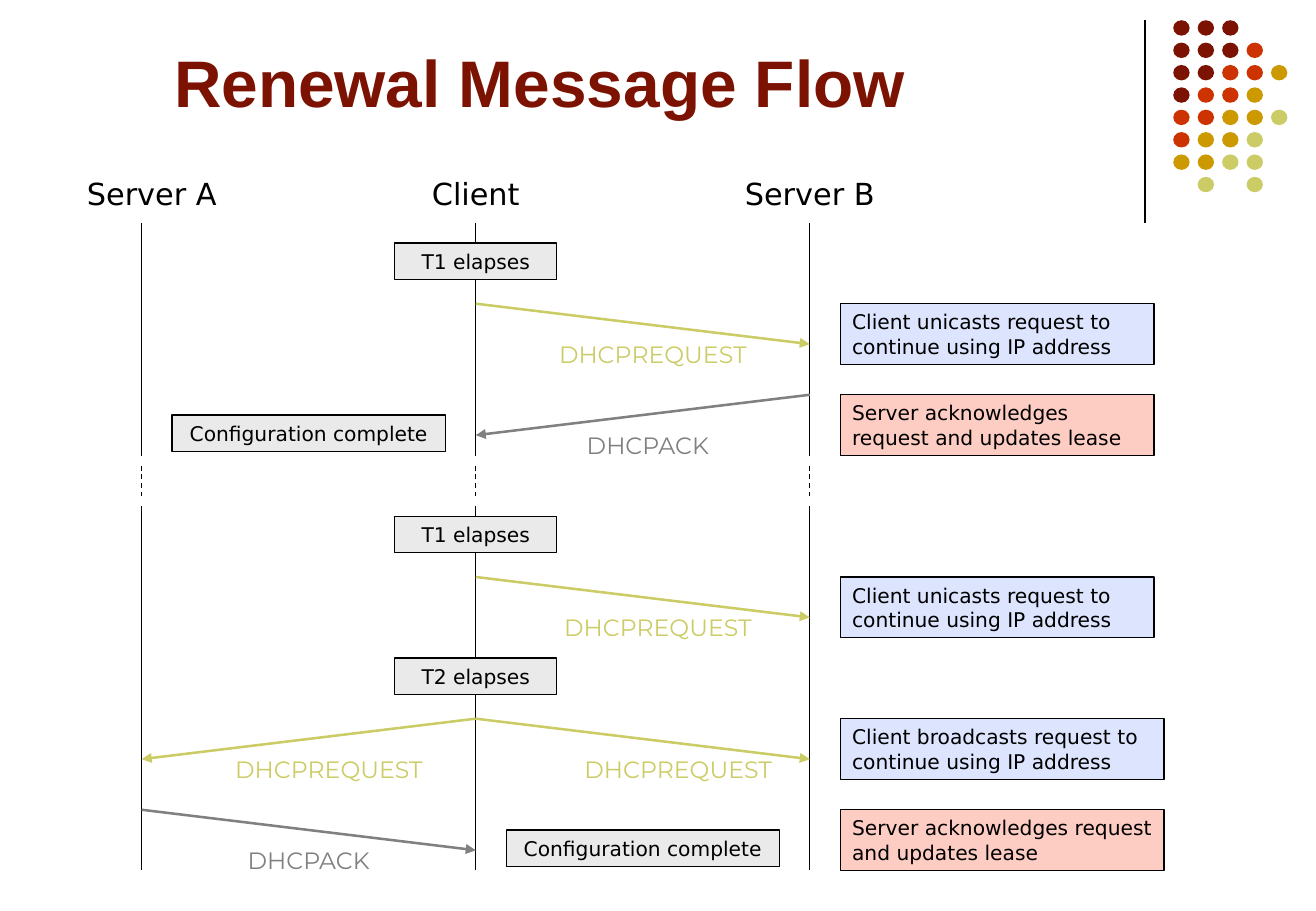
from collections import namedtuple

from lxml.etree import SubElement
from pptx import Presentation
from pptx.dml.color import RGBColor
from pptx.enum.dml import MSO_LINE
from pptx.enum.shapes import MSO_CONNECTOR, MSO_SHAPE
from pptx.enum.text import MSO_ANCHOR, MSO_AUTO_SIZE, PP_ALIGN
from pptx.oxml.ns import qn
from pptx.util import Inches, Pt

BLACK = RGBColor(0x00, 0x00, 0x00)
MAROON = RGBColor(0x7C, 0x13, 0x02)
RED = RGBColor(0xCC, 0x33, 0x00)
GOLD = RGBColor(0xCC, 0x99, 0x00)
LIME = RGBColor(0xCC, 0xCC, 0x66)
GRAY = RGBColor(0x80, 0x80, 0x80)
PALE_GRAY = RGBColor(0xEA, 0xEA, 0xEA)
PALE_BLUE = RGBColor(0xDC, 0xE4, 0xFE)
PALE_RED = RGBColor(0xFD, 0xCD, 0xC3)

SLIDE_WIDTH, SLIDE_HEIGHT = Inches(10.84), Inches(7.5)
COLUMN, ROW = SLIDE_WIDTH / 130, SLIDE_HEIGHT / 90

SERVER_A, CLIENT, SERVER_B, NOTES = 7, 40, 73, 76
HEADINGS = [("Server A", 0, 16), ("Client", 34, 12), ("Server B", 65, 16)]
LIFELINE_PARTS = [(4, 27, None), (28, 31, MSO_LINE.DASH), (32, 68, None)]
EVENTS = [
    ("T1 elapses", 32, 6, 16),
    ("Configuration complete", 10, 23, 27),
    ("T1 elapses", 32, 33, 16),
    ("T2 elapses", 32, 47, 16),
    ("Configuration complete", 43, 64, 27),
]

Message = namedtuple("Message", "sender receiver label_column label_columns")
Exchange = namedtuple("Exchange", "row kind note note_columns messages")
Kind = namedtuple("Kind", "label color note_fill")

REQUEST = Kind("DHCPREQUEST", LIME, PALE_BLUE)
ACK = Kind("DHCPACK", GRAY, PALE_RED)
UNICAST = "Client unicasts request to continue using IP address"
BROADCAST = "Client broadcasts request to continue using IP address"
ACKNOWLEDGE = "Server acknowledges request and updates lease"
EXCHANGES = [
    Exchange(12, REQUEST, UNICAST, 31, [Message(CLIENT, SERVER_B, 46, 23)]),
    Exchange(21, ACK, ACKNOWLEDGE, 31, [Message(SERVER_B, CLIENT, 49, 16)]),
    Exchange(39, REQUEST, UNICAST, 31, [Message(CLIENT, SERVER_B, 46, 24)]),
    Exchange(53, REQUEST, BROADCAST, 32, [
        Message(CLIENT, SERVER_A, 14, 23), Message(CLIENT, SERVER_B, 47, 26)]),
    Exchange(62, ACK, ACKNOWLEDGE, 32, [Message(SERVER_A, CLIENT, 13, 21)]),
]

DOT_COLORS = {"M": MAROON, "R": RED, "G": GOLD, "L": LIME}
DOT_ROWS = ["MMM", "MMMR", "MMRRG", "MRRG", "RRGGL", "RGGL", "GGLL", ".L.L"]


class Box(namedtuple("Box", "column row columns rows")):
    def inner(self, column, row, columns=0, rows=0):
        return Box(self.column + column, self.row + row, columns, rows)

    def lengths(self):
        return (round(self.column * COLUMN), round(self.row * ROW),
                round(self.columns * COLUMN), round(self.rows * ROW))


def write(frame, text, size, font, color, align=PP_ALIGN.CENTER):
    frame.word_wrap = True
    frame.vertical_anchor = MSO_ANCHOR.TOP
    frame.text = text
    paragraph = frame.paragraphs[0]
    paragraph.alignment = align
    paragraph.font.size = Pt(size)
    paragraph.font.name = font
    paragraph.font.color.rgb = color
    return paragraph


def add_line(shapes, start, end, color=BLACK, width=0.74, dash=None, arrow=False):
    line = shapes.add_connector(
        MSO_CONNECTOR.STRAIGHT, *start.lengths()[:2], *end.lengths()[:2])
    line.line.color.rgb = color
    line.line.width = Pt(width)
    if dash:
        line.line.dash_style = dash
    if arrow:
        SubElement(line.line._get_or_add_ln(), qn("a:tailEnd"), type="triangle")
    SubElement(line._element.spPr, qn("a:effectLst"))


def add_filled(shapes, preset, box, fill):
    shape = shapes.add_shape(preset, *box.lengths())
    shape.shadow.inherit = False
    shape.fill.solid()
    shape.fill.fore_color.rgb = fill
    shape.line.fill.background()
    return shape


def add_panel(shapes, box, text, fill, align=PP_ALIGN.CENTER):
    panel = add_filled(shapes, MSO_SHAPE.RECTANGLE, box, fill)
    panel.line.color.rgb = BLACK
    panel.line.width = Pt(0.74)
    write(panel.text_frame, text, 12, "DejaVu Sans", BLACK, align)
    return panel


def add_title(slide, box, text):
    title = slide.shapes.title
    title.left, title.top, title.width, title.height = box.lengths()
    paragraph = write(title.text_frame, text, 39, "Arial", MAROON, PP_ALIGN.LEFT)
    paragraph.font.bold = True
    title.text_frame.vertical_anchor = MSO_ANCHOR.MIDDLE
    title.text_frame.auto_size = MSO_AUTO_SIZE.NONE


def add_ornament(slide, box):
    add_line(slide.shapes, box, box.inner(0, box.rows))
    dots = slide.shapes.add_group_shape().shapes
    pitch_x, pitch_y = box.columns / 5.8, box.rows / 9.05
    for row, codes in enumerate(DOT_ROWS):
        for column, code in enumerate(codes):
            if code in DOT_COLORS:
                dot = box.inner((column + 1.16) * pitch_x, row * pitch_y,
                                pitch_x * 0.67, pitch_y * 0.69)
                add_filled(dots, MSO_SHAPE.OVAL, dot, DOT_COLORS[code])


def add_lifelines(slide, box):
    for name, column, columns in HEADINGS:
        heading = slide.shapes.add_textbox(*box.inner(column, 0, columns, 3.4).lengths())
        paragraph = write(heading.text_frame, name, 18, "DejaVu Sans", BLACK)
        paragraph.line_spacing = 0.6
        paragraph.space_before = Pt(11.2)
    for column in (SERVER_A, CLIENT, SERVER_B):
        for top, bottom, dash in LIFELINE_PARTS:
            add_line(slide.shapes, box.inner(column, top),
                     box.inner(column, bottom), dash=dash)


def add_exchange(slide, box, exchange):
    parts = slide.shapes.add_group_shape().shapes
    kind = exchange.kind
    note = add_panel(parts, box.inner(NOTES, 0, exchange.note_columns, 6),
                     exchange.note, kind.note_fill, PP_ALIGN.LEFT)
    note.text_frame.margin_right = Inches(0.07)
    for message in exchange.messages:
        add_line(parts, box.inner(message.sender, 0), box.inner(message.receiver, 4),
                 kind.color, 1.5, arrow=True)
        label = parts.add_textbox(
            *box.inner(message.label_column, 3, message.label_columns, 4).lengths())
        write(label.text_frame, kind.label, 14, "Montserrat", kind.color)


def add_message_flow(slide, box):
    add_lifelines(slide, box)
    for exchange in EXCHANGES:
        add_exchange(slide, box.inner(0, exchange.row, box.columns, 7), exchange)
    for text, column, row, columns in EVENTS:
        add_panel(slide.shapes, box.inner(column, row, columns, 3.6), text, PALE_GRAY)


presentation = Presentation()
presentation.slide_width, presentation.slide_height = SLIDE_WIDTH, SLIDE_HEIGHT
renewal = presentation.slides.add_slide(presentation.slide_layouts[5])
add_ornament(renewal, Box(113.1, 2, 14, 20))
add_title(renewal, Box(16, 3, 101, 10), "Renewal Message Flow")
add_message_flow(renewal, Box(7, 18, 108, 68))
presentation.save("out.pptx")
